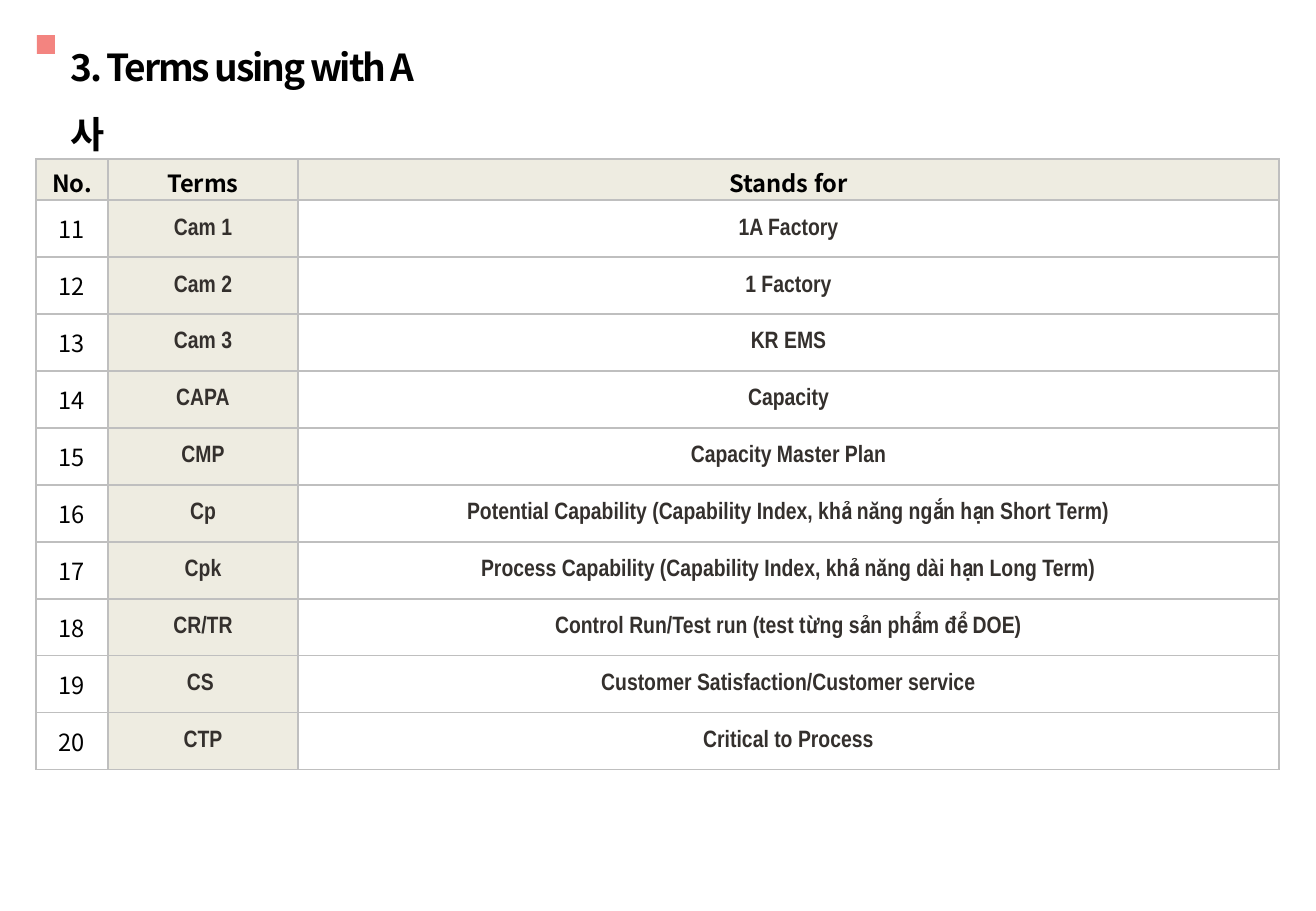
from lxml import etree
from pptx import Presentation, util as u
from pptx.dml.color import RGBColor
from pptx.enum import shapes, text
from pptx.oxml.ns import qn

EMU_PER_PX = 7526
COLORS = {"accent": "F38480", "cream": "EEECE1", "border": "BFBFBF",
          "black": "000000", "term": "34302D"}
SANS, NARROW = "Noto Sans CJK KR", "Arial Narrow"
HEADER = {"name": SANS, "size": u.Pt(14), "bold": True, "color": "black"}
NUMBER = {**HEADER, "bold": False}
TERM = {**HEADER, "name": NARROW, "color": "term"}
TITLE = {**HEADER, "size": u.Pt(22)}
CELL_MARGINS = {"margin_left": 1, "margin_right": 1, "margin_top": 1, "margin_bottom": 0}


def px(value):
    return u.Emu(value * EMU_PER_PX)


def rgb(name):
    return RGBColor.from_string(COLORS[name])


class SlideBuilder:
    def __init__(self, width, height):
        self.presentation = Presentation()
        self.presentation.slide_width = px(width)
        self.presentation.slide_height = px(height)
        layout = self.presentation.slide_layouts[5]
        self.slide = self.presentation.slides.add_slide(layout)

    def format_run(self, run, style):
        for key, value in style.items():
            if key == "color":
                run.font.color.rgb = rgb(value)
            else:
                setattr(run.font, key, value)
        east_asian = etree.SubElement(run.font._element, qn("a:ea"))
        east_asian.set("typeface", style["name"])

    def title(self, wording, left, top, width, height):
        shape = self.slide.shapes.title
        for key, value in {"left": left, "top": top, "width": width, "height": height}.items():
            setattr(shape, key, px(value))
        frame = shape.text_frame
        frame.word_wrap = True
        frame.auto_size = text.MSO_AUTO_SIZE.SHAPE_TO_FIT_TEXT
        frame.vertical_anchor = text.MSO_ANCHOR.TOP
        paragraph = frame.paragraphs[0]
        paragraph.alignment = text.PP_ALIGN.LEFT
        paragraph.line_spacing = 1.5
        run = paragraph.add_run()
        run.text = wording
        self.format_run(run, TITLE)
        run.font._element.set("spc", "-120")

    def square(self, left, top, width, height, color):
        shape = self.slide.shapes.add_shape(
            shapes.MSO_SHAPE.RECTANGLE, px(left), px(top), px(width), px(height))
        shape.shadow.inherit = False
        shape.fill.solid()
        shape.fill.fore_color.rgb = rgb(color)
        shape.line.fill.background()

    def cell(self, cell, wording, style, fill):
        cell.vertical_anchor = text.MSO_ANCHOR.MIDDLE
        if style is TERM:
            for key, value in CELL_MARGINS.items():
                setattr(cell, key, px(value))
        paragraph = cell.text_frame.paragraphs[0]
        paragraph.alignment = text.PP_ALIGN.CENTER
        run = paragraph.add_run()
        run.text = wording
        self.format_run(run, style)
        # Borders come before the fill in the cell properties
        properties = cell._tc.get_or_add_tcPr()
        for side in ("lnL", "lnR", "lnT", "lnB"):
            line = etree.SubElement(properties, qn(f"a:{side}"), w=str(u.Pt(1)))
            solid = etree.SubElement(line, qn("a:solidFill"))
            etree.SubElement(solid, qn("a:srgbClr"), val=COLORS["border"])
        if fill:
            cell.fill.solid()
            cell.fill.fore_color.rgb = rgb(fill)
        else:
            cell.fill.background()

    def table(self, left, top, widths, header_height, row_height, header, rows):
        heights = [header_height] + [row_height] * len(rows)
        table = self.slide.shapes.add_table(
            len(heights), len(widths), px(left), px(top),
            px(sum(widths)), px(sum(heights))).table
        for column, width in zip(table.columns, widths):
            column.width = px(width)
        for row, height in zip(table.rows, heights):
            row.height = px(height)
        for index, wording in enumerate(header):
            self.cell(table.cell(0, index), wording, HEADER, "cream")
        for row_index, values in enumerate(rows, start=1):
            formats = ((NUMBER, None), (TERM, "cream"), (TERM, None))
            for index, (wording, (style, fill)) in enumerate(zip(values, formats)):
                self.cell(table.cell(row_index, index), wording, style, fill)


def main():
    builder = SlideBuilder(1316, 911)

    # Heading
    builder.square(37, 35, 18, 19, "accent")
    builder.title("3. Terms using with A사", 58, 16, 383, 73)

    # Glossary table
    terms = [
        ("Cam 1", "1A Factory"),
        ("Cam 2", "1 Factory"),
        ("Cam 3", "KR EMS"),
        ("CAPA", "Capacity"),
        ("CMP", "Capacity Master Plan"),
        ("Cp", "Potential Capability (Capability Index, khả năng ngắn hạn Short Term)"),
        ("Cpk", "Process Capability (Capability Index, khả năng dài hạn Long Term)"),
        ("CR/TR", "Control Run/Test run (test từng sản phẩm để DOE)"),
        ("CS ", "Customer Satisfaction/Customer service"),
        ("CTP", "Critical to Process"),
    ]
    rows = [(str(number), *term) for number, term in enumerate(terms, start=11)]
    builder.table(36, 159, [72, 190, 981], 41, 57, ("No.", "Terms", "Stands for"), rows)

    builder.presentation.save("out.pptx")


if __name__ == "__main__":
    main()
